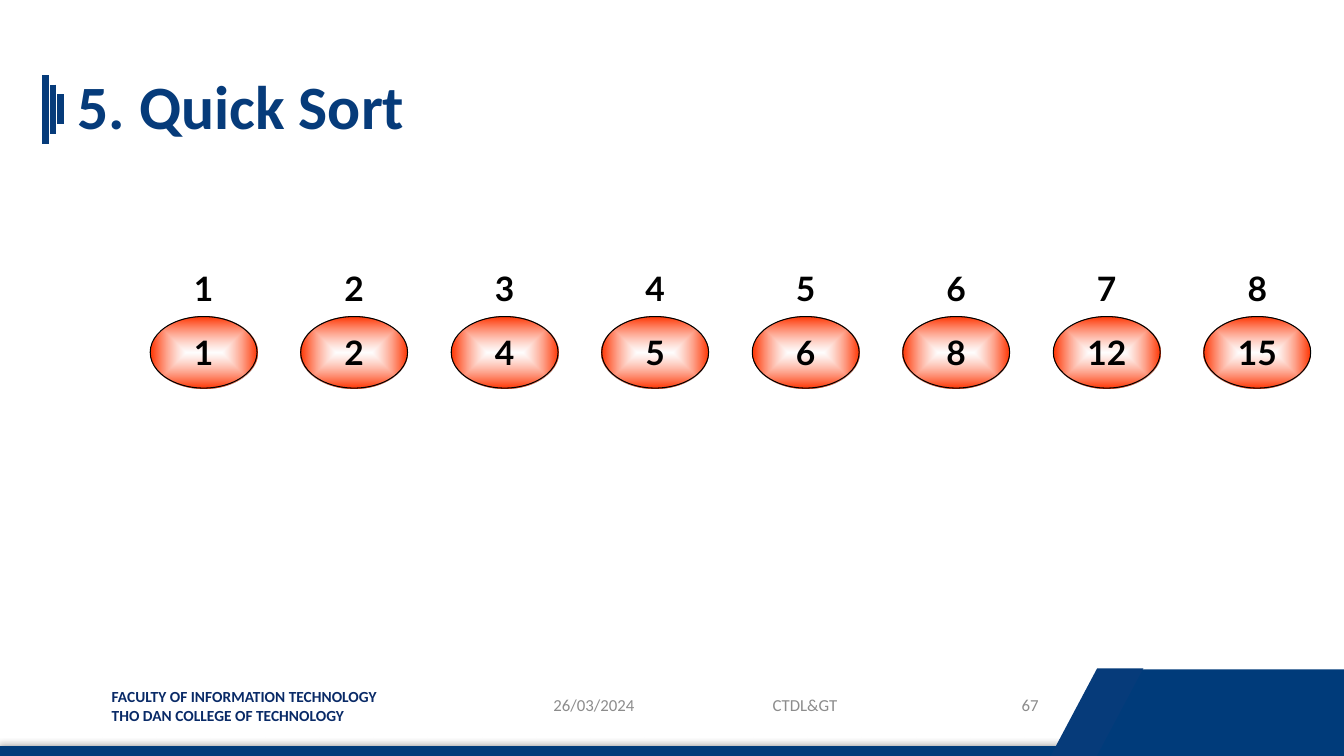
from dataclasses import dataclass

from lxml import etree
from pptx import Presentation
from pptx.dml.color import RGBColor
from pptx.enum.shapes import MSO_CONNECTOR, MSO_SHAPE
from pptx.enum.text import MSO_ANCHOR, PP_ALIGN
from pptx.oxml import parse_xml
from pptx.oxml.ns import nsdecls, qn
from pptx.util import Inches, Pt

LEFT, CENTER, RIGHT = PP_ALIGN.LEFT, PP_ALIGN.CENTER, PP_ALIGN.RIGHT
TOP, MIDDLE = MSO_ANCHOR.TOP, MSO_ANCHOR.MIDDLE
OVAL, RECTANGLE = MSO_SHAPE.OVAL, MSO_SHAPE.RECTANGLE
PARALLELOGRAM = MSO_SHAPE.PARALLELOGRAM
STRAIGHT = MSO_CONNECTOR.STRAIGHT


@dataclass(frozen=True)
class Theme:
    """Colours, fonts and type sizes of the slide."""
    navy: str = "003B7A"
    title: str = "063B7A"
    faculty: str = "092A67"
    muted: str = "8C8C8C"
    ink: str = "000000"
    glow: str = "FFFFFF"
    rim: str = "FF3300"
    font: str = "Calibri"
    number_font: str = "Lato"
    title_size: int = 44
    number_size: int = 24
    footer_size: int = 12
    faculty_size: int = 11


THEME = Theme()


def write(frame, lines, size, color, font=THEME.font, bold=False, align=LEFT, anchor=MIDDLE):
    """Fill a text frame with one formatted run per line."""
    frame.vertical_anchor = anchor
    for index, line in enumerate(lines):
        paragraph = frame.add_paragraph() if index else frame.paragraphs[0]
        paragraph.alignment = align
        run = paragraph.add_run()
        run.text = line
        run.font.size, run.font.bold, run.font.name = Pt(size), bold, font
        run.font.color.rgb = RGBColor.from_string(color)


def add_label(slide, box, lines, size, color, **style):
    """Place a wrapping text box in the given box."""
    label = slide.shapes.add_textbox(*map(Inches, box))
    label.text_frame.word_wrap = True
    write(label.text_frame, lines, size, color, **style)


def add_block(slide, box, kind, color):
    """Place a borderless solid shape in the given box."""
    block = slide.shapes.add_shape(kind, *map(Inches, box))
    block.shadow.inherit = False
    block.fill.solid()
    block.fill.fore_color.rgb = RGBColor.from_string(color)
    block.line.fill.background()
    return block


def add_title(slide, box, text):
    """Place the slide title and the three shrinking bars beside it."""
    left, top, width, height = box
    title = slide.shapes.title
    title.left, title.top, title.width, title.height = map(Inches, box)
    write(title.text_frame, [text], THEME.title_size, THEME.title, bold=True)
    title.text_frame.paragraphs[0].line_spacing = 0.9
    middle = top + height / 2
    for index, length in enumerate((0.68, 0.49, 0.3)):
        x = Inches(left - 0.22 + 0.075 * index)
        bar = slide.shapes.add_connector(
            STRAIGHT, x, Inches(middle - length / 2), x, Inches(middle + length / 2))
        bar.line.color.rgb = RGBColor.from_string(THEME.title)
        bar.line.width = Pt(4.5)
        etree.SubElement(bar._element.spPr, qn("a:effectLst"))


def fill_glow(oval):
    """Give an oval a centred glow inside a bright rim."""
    oval.fill.gradient()
    properties = oval._element.spPr
    properties.replace(properties.find(qn("a:gradFill")), parse_xml(
        f'<a:gradFill {nsdecls("a")} rotWithShape="1"><a:gsLst>'
        f'<a:gs pos="0"><a:srgbClr val="{THEME.glow}"><a:alpha val="60000"/></a:srgbClr></a:gs>'
        f'<a:gs pos="100000"><a:srgbClr val="{THEME.rim}"/></a:gs></a:gsLst>'
        '<a:path path="shape"><a:fillToRect l="50000" t="50000" r="50000" b="50000"/></a:path>'
        '</a:gradFill>'))
    oval.line.color.rgb = RGBColor.from_string(THEME.ink)
    oval.line.width = Pt(0.75)


def add_number_row(slide, box, numbers, glowing):
    """Spread numbered ovals evenly over the box as one group."""
    left, top, width, height = box
    oval_width = 1.06
    step = (width - oval_width) / (len(numbers) - 1)
    row = slide.shapes.add_group_shape()
    for index, number in enumerate(numbers):
        oval = row.shapes.add_shape(
            OVAL, *map(Inches, (left + index * step, top, oval_width, height)))
        oval.shadow.inherit = False
        if glowing:
            fill_glow(oval)
        else:
            oval.fill.background()
            oval.line.fill.background()
        oval.text_frame.word_wrap = False
        write(oval.text_frame, [str(number)], THEME.number_size, THEME.ink,
              font=THEME.number_font, bold=True, align=CENTER)


def add_array(slide, box, values):
    """Show the sorted values below their positions."""
    left, top, width, height = box
    row_height = 0.71
    add_number_row(slide, (left, top + height - row_height, width, row_height), values, True)
    positions = range(1, len(values) + 1)
    add_number_row(slide, (left, top, width, row_height), positions, False)


def add_footer(slide, box):
    """Draw the bottom band with the faculty, date, course and page number."""
    left, top, width, height = box
    add_label(slide, (left + 1.01, top + 0.14, 3.06, 0.47),
              ["FACULTY OF INFORMATION TECHNOLOGY", "THO DAN COLLEGE OF TECHNOLOGY"],
              THEME.faculty_size, THEME.faculty, bold=True, anchor=TOP)
    strip = add_block(slide, (left, top + 0.78, width, 0.08), RECTANGLE, THEME.navy)
    strip.line.color.rgb = RGBColor.from_string(THEME.navy)
    strip.line.width = Pt(1)
    strip._element.spPr.find(qn("a:effectLst")).append(parse_xml(
        f'<a:outerShdw {nsdecls("a")} blurRad="{Pt(4)}" dist="{Pt(2)}" dir="16200000" '
        f'rotWithShape="0"><a:srgbClr val="{THEME.ink}"><a:alpha val="40000"/></a:srgbClr>'
        '</a:outerShdw>'))
    add_block(slide, (left + 10.92, top + 0.01, width - 10.92, height - 0.01),
              RECTANGLE, THEME.navy)
    slant = add_block(slide, (left + 10.42, top, 0.92, height), PARALLELOGRAM, THEME.title)
    slant.adjustments[0] = 0.531
    for x, label_width, text, align in (
            (5.39, 1.34, "26/03/2024", LEFT),
            (6.96, 2.05, "CTDL&GT", CENTER),
            (9.24, 1.16, "67", RIGHT)):
        add_label(slide, (left + x, top + 0.16, label_width, 0.4), [text],
                  THEME.footer_size, THEME.muted, align=align)


def main():
    """Build and save the slide."""
    deck = Presentation()
    deck.slide_width, deck.slide_height = Inches(13.33), Inches(7.5)
    slide = deck.slides.add_slide(deck.slide_layouts[5])
    add_footer(slide, (0, 6.63, 13.33, 0.87))
    add_title(slide, (0.67, 0.5, 12, 1.17), "5. Quick Sort")
    add_array(slide, (1.49, 2.5, 11.51, 1.35), (1, 2, 4, 5, 6, 8, 12, 15))
    deck.save("out.pptx")


if __name__ == "__main__":
    main()
